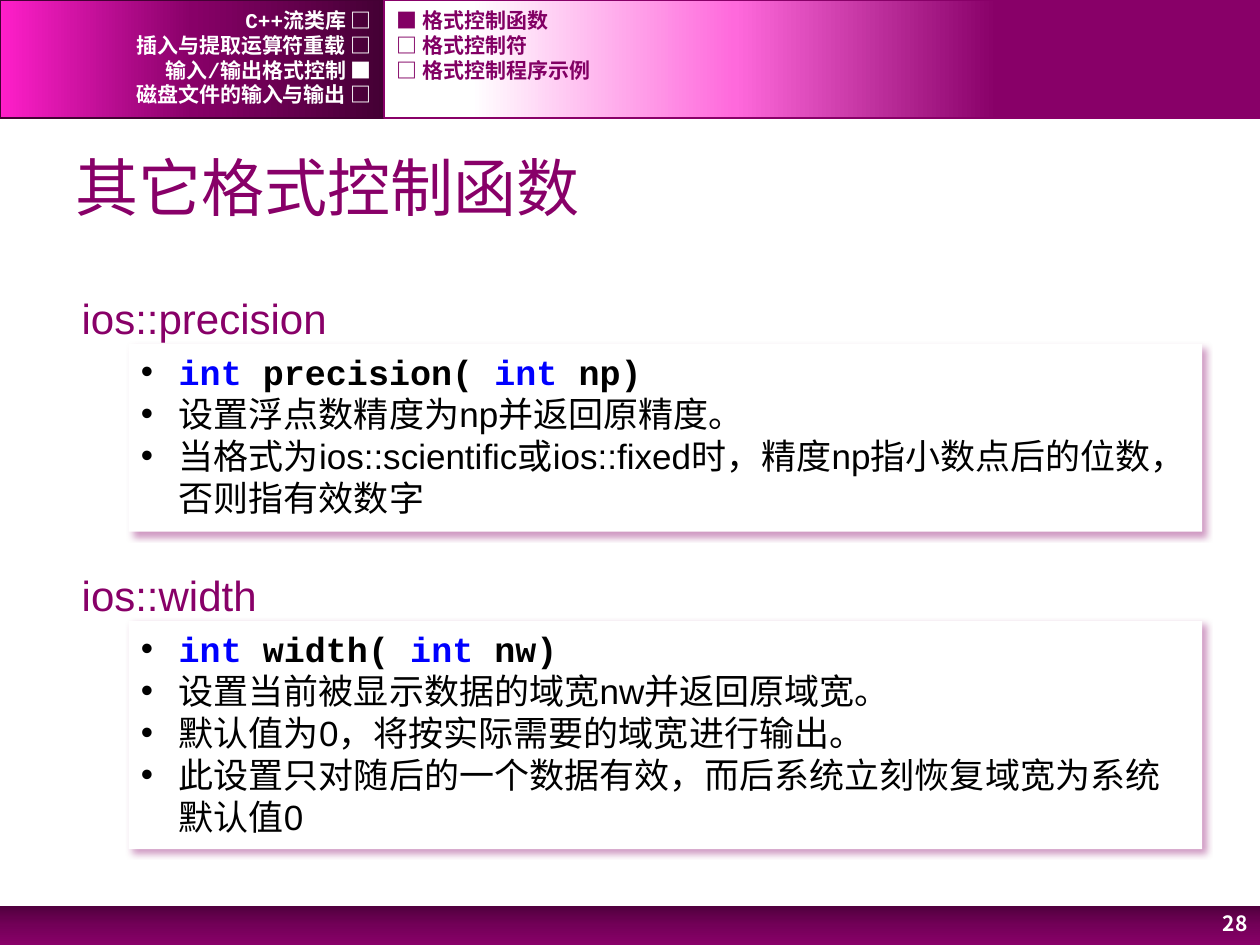
from lxml import etree
from pptx import Presentation
from pptx.dml.color import RGBColor
from pptx.enum.shapes import MSO_SHAPE
from pptx.enum.text import MSO_ANCHOR, MSO_AUTO_SIZE, PP_ALIGN
from pptx.oxml import parse_xml
from pptx.oxml.ns import nsdecls, qn
from pptx.util import Inches, Pt

RECTANGLE = MSO_SHAPE.RECTANGLE
MIDDLE, TOP = MSO_ANCHOR.MIDDLE, MSO_ANCHOR.TOP
LEFT, RIGHT = PP_ALIGN.LEFT, PP_ALIGN.RIGHT
FIT_TEXT = MSO_AUTO_SIZE.SHAPE_TO_FIT_TEXT
PURPLE, DARK, WHITE, BLACK, BLUE = "880068", "440034", "FFFFFF", "000000", "0000FF"
SANS, MONO, CJK = "Arial", "Courier New", "Noto Sans CJK SC"

TITLE = "其它格式控制函数"
PAGE_NUMBER = "28"
BANDS = [
    ((0, 7.19, 10, 0.31), [(0, "51003E"), (50, "730058"), (100, PURPLE)], 90, None),
    ((0, 0, 3.05, 0.94), [(0, DARK), (50, PURPLE), (100, "FF1FCA")], 180, DARK),
    ((3.05, 0, 6.95, 0.94), [(30, PURPLE), (60, "FF69DC"), (90, WHITE)], 180, PURPLE),
]
MENUS = [
    (0, 3.05, RIGHT, WHITE,
     ["C++流类库 □", "插入与提取运算符重载 □", "输入/输出格式控制 ■", "磁盘文件的输入与输出 □"]),
    (3.05, 6.02, LEFT, "820064",
     ["■ 格式控制函数", "□ 格式控制符", "□ 格式控制程序示例"]),
]
SECTIONS = [
    ("ios::precision", 2.17, 2.73, 1.49,
     [("int ", BLUE), ("precision( ", BLACK), ("int ", BLUE), ("np)", BLACK)],
     ["设置浮点数精度为np并返回原精度。",
      "当格式为ios::scientific或ios::fixed时，精度np指小数点后的位数， 否则指有效数字"]),
    ("ios::width", 1.61, 4.93, 1.81,
     [("int ", BLUE), ("width( ", BLACK), ("int ", BLUE), ("nw)", BLACK)],
     ["设置当前被显示数据的域宽nw并返回原域宽。",
      "默认值为0，将按实际需要的域宽进行输出。",
      "此设置只对随后的一个数据有效，而后系统立刻恢复域宽为系统默认值0"]),
]


def color(value):
    return RGBColor.from_string(value)


def inches(box):
    return [Inches(value) for value in box]


def add_run(paragraph, text, size, font, tint, bold=False):
    run = paragraph.add_run()
    run.text = text
    run.font.size, run.font.name, run.font.bold = Pt(size), font, bold
    run.font.color.rgb = color(tint)


def add_label(slide, box, text, size, font, tint, bold=True, align=LEFT):
    shape = slide.shapes.add_textbox(*inches(box))
    frame = shape.text_frame
    frame.word_wrap, frame.vertical_anchor = True, MIDDLE
    frame.margin_top = frame.margin_bottom = 0
    paragraph = frame.paragraphs[0]
    paragraph.alignment = align
    add_run(paragraph, text, size, font, tint, bold)
    return shape


def add_rectangle(slide, box):
    shape = slide.shapes.add_shape(RECTANGLE, *inches(box))
    shape.shadow.inherit = False
    shape.line.fill.background()
    return shape


def add_band(slide, box, stops, angle, outline):
    shape = add_rectangle(slide, box)
    shape.fill.gradient()
    gradient = shape.element.spPr.find(qn("a:gradFill"))
    stop_list = "".join(
        f'<a:gs pos="{position * 1000}"><a:srgbClr val="{tint}"/></a:gs>'
        for position, tint in stops)
    gradient.getparent().replace(gradient, parse_xml(
        f'<a:gradFill {nsdecls("a")} rotWithShape="1"><a:gsLst>{stop_list}</a:gsLst>'
        f'<a:lin ang="{angle * 60000}" scaled="0"/></a:gradFill>'))
    if outline:
        shape.line.color.rgb = color(outline)
        shape.line.width = Pt(1)


def set_indent(paragraph, indent):
    properties = paragraph._p.get_or_add_pPr()
    properties.set("marL", str(Inches(indent)))
    properties.set("indent", str(-Inches(indent)))
    return properties


def add_bullet(paragraph):
    properties = set_indent(paragraph, 0.3)
    bullet_color = etree.SubElement(properties, qn("a:buClr"))
    etree.SubElement(bullet_color, qn("a:srgbClr"), val=BLACK)
    etree.SubElement(properties, qn("a:buFont"), typeface=SANS)
    etree.SubElement(properties, qn("a:buChar"), char="•")


def add_card(slide, box, signature, notes):
    shape = add_rectangle(slide, box)
    shape.fill.solid()
    shape.fill.fore_color.rgb = color(WHITE)
    effects = shape.element.spPr.find(qn("a:effectLst"))
    effects.append(parse_xml(
        f'<a:outerShdw {nsdecls("a")} blurRad="{Pt(4)}" dist="{Pt(3)}" dir="{45 * 60000}" '
        f'algn="tl" rotWithShape="0"><a:srgbClr val="{PURPLE}"><a:alpha val="40000"/>'
        f'</a:srgbClr></a:outerShdw>'))
    frame = shape.text_frame
    frame.word_wrap, frame.vertical_anchor = True, TOP
    lines = [[(text, MONO, tint, True) for text, tint in signature]]
    lines += [[(note, SANS, BLACK, False)] for note in notes]
    for index, runs in enumerate(lines):
        paragraph = frame.add_paragraph() if index else frame.paragraphs[0]
        paragraph.alignment = LEFT
        paragraph.level = min(index, 1)
        add_bullet(paragraph)
        for text, font, tint, bold in runs:
            add_run(paragraph, text, 20, font, tint, bold)


def add_heading(slide, box, text):
    shape = add_label(slide, box, text, 24, SANS, PURPLE, bold=False)
    frame = shape.text_frame
    frame.word_wrap, frame.auto_size, frame.vertical_anchor = False, FIT_TEXT, TOP
    frame.margin_top = frame.margin_bottom = Inches(0.05)
    properties = set_indent(frame.paragraphs[0], 0.38)
    spacing = etree.SubElement(properties, qn("a:spcBef"))
    etree.SubElement(spacing, qn("a:spcPct"), val="20000")


def add_title(slide):
    title = slide.shapes.title
    title.left, title.top, title.width, title.height = inches((0.5, 1.09, 9, 0.78))
    frame = title.text_frame
    frame.vertical_anchor = MIDDLE
    paragraph = frame.paragraphs[0]
    paragraph.alignment = LEFT
    add_run(paragraph, TITLE, 36, SANS, PURPLE)


def main():
    """Build the slide on further stream format control functions."""
    presentation = Presentation()
    presentation.slide_width, presentation.slide_height = Inches(10), Inches(7.5)
    slide = presentation.slides.add_slide(presentation.slide_layouts[5])
    for band in BANDS:
        add_band(slide, *band)
    add_title(slide)
    add_label(slide, (9.18, 7.16, 0.82, 0.34), PAGE_NUMBER, 12, CJK, WHITE, align=RIGHT)
    for heading, width, top, height, signature, notes in SECTIONS:
        add_card(slide, (1.02, top, 8.52, height), signature, notes)
        add_heading(slide, (0.55, top - 0.46, width, 0.5), heading)
    for left, width, align, tint, entries in MENUS:
        for row, entry in enumerate(entries):
            box = (left, 0.06 + row * 0.197, width, 0.2)
            add_label(slide, box, entry, 12, MONO, tint, align=align)
    presentation.save("out.pptx")


if __name__ == "__main__":
    main()
